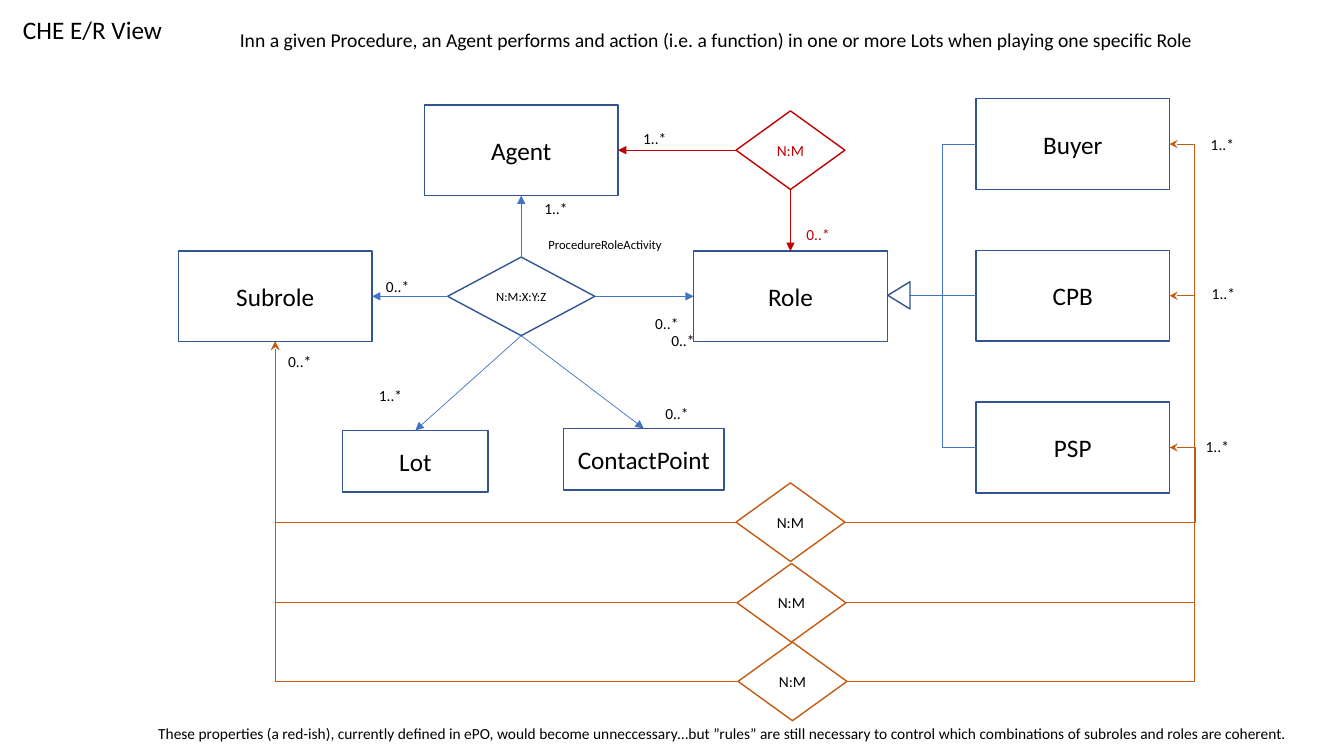
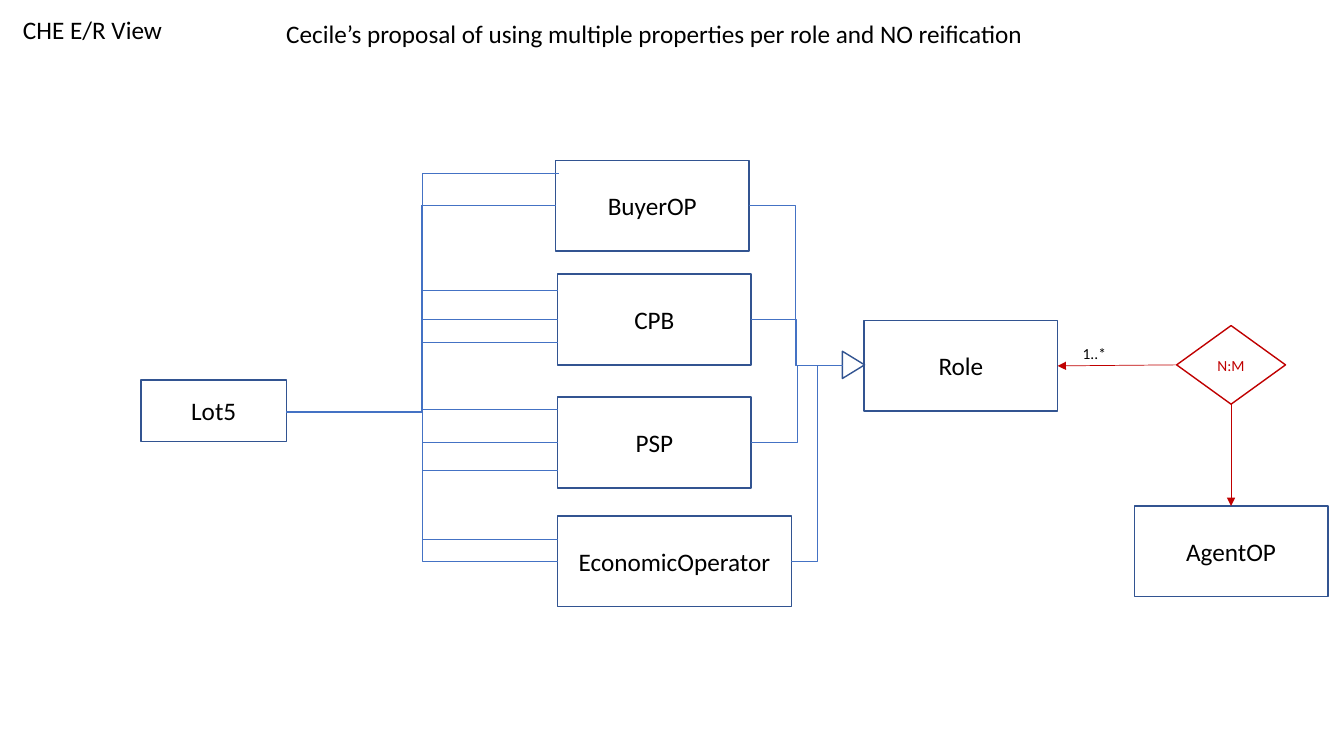
import collections
import pptx
import pptx.util
import pptx.dml.color
import pptx.enum.shapes
import pptx.enum.text
import pptx.oxml.ns
import pptx.oxml.xmlchemy

Inches = pptx.util.Inches
Shape = pptx.enum.shapes.MSO_SHAPE
Link = pptx.enum.shapes.MSO_CONNECTOR
Align = pptx.enum.text.PP_ALIGN
make = pptx.oxml.xmlchemy.OxmlElement

# Middle points of the four sides of a shape
Sides = collections.namedtuple("Sides", "left right top bottom")


class Theme:
    font = "Calibri"
    black, navy, blue = "000000", "325491", "4472C4"
    red, orange = "C00000", "C55A11"
    big, mid, small, tiny = 18, 14, 11, 9
    edge, thin = 1, 0.5
    wide, tall = 1.92, 0.9        # entity box
    gem = (1.08, 0.78)            # relation diamond
    lot = (1.44, 0.61)            # lot box


class Deck:
    def __init__(self):
        self.file = pptx.Presentation()
        self.file.slide_width = Inches(13.33)
        self.file.slide_height = Inches(7.5)

    def page(self, title):
        self.slide = self.file.slides.add_slide(self.file.slide_layouts[6])
        self.text(0.13, 0.09, 1.6, 0.4, title, Theme.big)

    def ink(self, frame, words, size, color, align):
        frame.text = words
        para = frame.paragraphs[0]
        para.alignment = align
        for run in para.runs:
            run.font.name = Theme.font
            run.font.size = pptx.util.Pt(size)
            run.font.color.rgb = pptx.dml.color.RGBColor.from_string(color)

    def pen(self, line, color, width):
        line.color.rgb = pptx.dml.color.RGBColor.from_string(color)
        line.width = pptx.util.Pt(width)

    def text(self, x, y, w, h, words, size, color=Theme.black, align=Align.LEFT):
        box = self.slide.shapes.add_textbox(*map(Inches, (x, y, w, h)))
        frame = box.text_frame
        frame.word_wrap = False
        frame.auto_size = pptx.enum.text.MSO_AUTO_SIZE.SHAPE_TO_FIT_TEXT
        self.ink(frame, words, size, color, align)

    def count(self, x, y, words, color=Theme.black):
        self.text(x, y, 0.44, 0.29, words, Theme.small, color)

    def shape(self, kind, x, y, w, h, color):
        shape = self.slide.shapes.add_shape(kind, *map(Inches, (x, y, w, h)))
        shape.shadow.inherit = False
        shape.fill.background()
        self.pen(shape.line, color, Theme.edge)
        return shape

    def node(self, kind, x, y, w, h, words, size, edge, color):
        frame = self.shape(kind, x, y, w, h, edge).text_frame
        frame.word_wrap = True
        frame.vertical_anchor = pptx.enum.text.MSO_ANCHOR.MIDDLE
        self.ink(frame, words, size, color, Align.CENTER)
        return Sides((x, y + h / 2), (x + w, y + h / 2),
                     (x + w / 2, y), (x + w / 2, y + h))

    def box(self, x, y, words, w=Theme.wide, h=Theme.tall):
        return self.node(Shape.RECTANGLE, x, y, w, h, words,
                         Theme.big, Theme.navy, Theme.black)

    def gem(self, x, y, edge, color=Theme.black, words="N:M",
            size=Theme.small, area=Theme.gem):
        return self.node(Shape.DIAMOND, x, y, *area, words, size, edge, color)

    def tip(self, x, y, angle):
        self.shape(Shape.ISOSCELES_TRIANGLE, x, y, 0.27, 0.22,
                   Theme.navy).rotation = angle

    def line(self, start, end, color=Theme.blue, head=None, kind=Link.STRAIGHT):
        line = self.slide.shapes.add_connector(kind, *map(Inches, start + end))
        self.pen(line.line, color, Theme.thin)
        root = line._element.spPr
        if head:
            tail = make("a:tailEnd")
            tail.set("type", head)
            root.find(pptx.oxml.ns.qn("a:ln")).append(tail)
        root.append(make("a:effectLst"))
        return root.find(pptx.oxml.ns.qn("a:prstGeom"))

    def arrow(self, start, end, color=Theme.blue):
        self.line(start, end, color, "triangle")

    def bend(self, start, end, turn=None, color=Theme.blue, head=None):
        """Elbow with its upright part at x = turn, midway by default."""
        geom = self.line(start, end, color, head, Link.ELBOW)
        if turn is not None:
            part = (turn - start[0]) / (end[0] - start[0])
            guide = make("a:gd")
            guide.set("name", "adj1")
            guide.set("fmla", f"val {round(part * 100000)}")
            geom.find(pptx.oxml.ns.qn("a:avLst")).append(guide)

    def corner(self, start, end, color, head):
        geom = self.line(start, end, color, head, Link.ELBOW)
        geom.set("prst", "bentConnector2")


deck = Deck()

# Slide 1: reified relation
deck.page("CHE E/R View")
deck.text(2.28, 0.23, 9.85, 0.34,
          "Inn a given Procedure, an Agent performs and action (i.e. a function) "
          "in one or more Lots when playing one specific Role", Theme.mid)

# Entities
agent = deck.box(4.21, 1.04, "Agent")
sub = deck.box(1.77, 2.49, "Subrole")
role = deck.box(6.88, 2.49, "Role")
lot = deck.box(3.4, 4.27, "Lot", *Theme.lot)
contact = deck.box(5.59, 4.25, "ContactPoint", 1.59, 0.61)
kinds = [deck.box(9.68, 0.98 + 1.505 * i, name)
         for i, name in enumerate(("Buyer", "CPB", "PSP"))]

# Central relation and its arrows
hub = deck.gem(4.44, 2.55, Theme.navy, words="N:M:X:Y:Z",
               size=Theme.tiny, area=(1.46, 0.78))
deck.text(5.34, 2.3, 1.35, 0.25, "ProcedureRoleActivity", Theme.tiny)
for start, end in ((hub.top, agent.bottom), (hub.left, sub.right),
                   (hub.right, role.left), (hub.bottom, lot.top),
                   (hub.bottom, contact.top)):
    deck.arrow(start, end)

# Agent and role relation
pair = deck.gem(7.3, 1.1, Theme.red, Theme.red)
deck.arrow(pair.left, agent.right, Theme.red)
deck.arrow(pair.bottom, role.top, Theme.red)

# Kinds of role
deck.tip(8.78, 2.82, 270)
for kind in kinds:
    deck.bend((9.02, 2.93), kind.left, 9.35)

# Subrole relations
for x, y, kind in zip((7.3, 7.31, 7.32), (4.79, 5.59, 6.37), reversed(kinds)):
    rule = deck.gem(x, y, Theme.orange)
    deck.corner(rule.left, sub.bottom, Theme.orange, "stealth")
    deck.bend(rule.right, kind.right, 11.85, Theme.orange, "stealth")

# Cardinalities
for x, y in ((3.66, 3.78), (6.28, 1.23), (5.3, 1.93),
             (11.91, 1.29), (11.92, 2.77), (11.86, 4.29)):
    deck.count(x, y, "1..*")
for x, y in ((6.4, 3.07), (3.73, 2.7), (2.76, 3.44), (6.5, 3.96), (6.56, 3.24)):
    deck.count(x, y, "0..*")
deck.count(7.9, 2.18, "0..*", Theme.red)
deck.text(1.47, 7.13, 11.49, 0.29,
          "These properties (a red-ish), currently defined in ePO, would become "
          "unneccessary…but ”rules” are still necessary to control which "
          "combinations of subroles and roles are coherent.", Theme.small)

# Slide 2: one property per role
deck.page("CHE E/R View")
deck.text(2.66, 0.13, 7.66, 0.4,
          "Cecile’s proposal of using multiple properties per role "
          "and NO reification", Theme.big, align=Align.CENTER)

# Entities
lot = deck.box(1.4, 3.77, "Lot5", *Theme.lot)
buyer = deck.box(5.51, 1.59, "BuyerOP")
cpb = deck.box(5.53, 2.72, "CPB")
psp = deck.box(5.53, 3.94, "PSP")
trader = deck.box(5.53, 5.12, "EconomicOperator", 2.32)
role = deck.box(8.57, 3.18, "Role")
agent = deck.box(11.25, 5.02, "AgentOP")

# Lot properties
port = (2.84, 4.09)
for y in (2.88, 3.17, 3.4, 4.06, 4.39, 4.67, 5.35, 5.57):
    deck.bend(port, (5.53, y))
deck.bend(port, buyer.left)
deck.bend((2.84, 4.08), (5.54, 1.72))

# Kinds of role
deck.tip(8.33, 3.51, 90)
for kind, turn in ((buyer, 7.89), (cpb, 7.9), (psp, 7.91), (trader, 8.11)):
    deck.bend((8.36, 3.62), kind.right, turn)

# Agent and role relation
pair = deck.gem(11.67, 3.23, Theme.red, Theme.red)
deck.arrow(pair.bottom, agent.top, Theme.red)
deck.arrow(pair.left, role.right, Theme.red)
deck.count(10.64, 3.36, "1..*")

deck.file.save("out.pptx")
